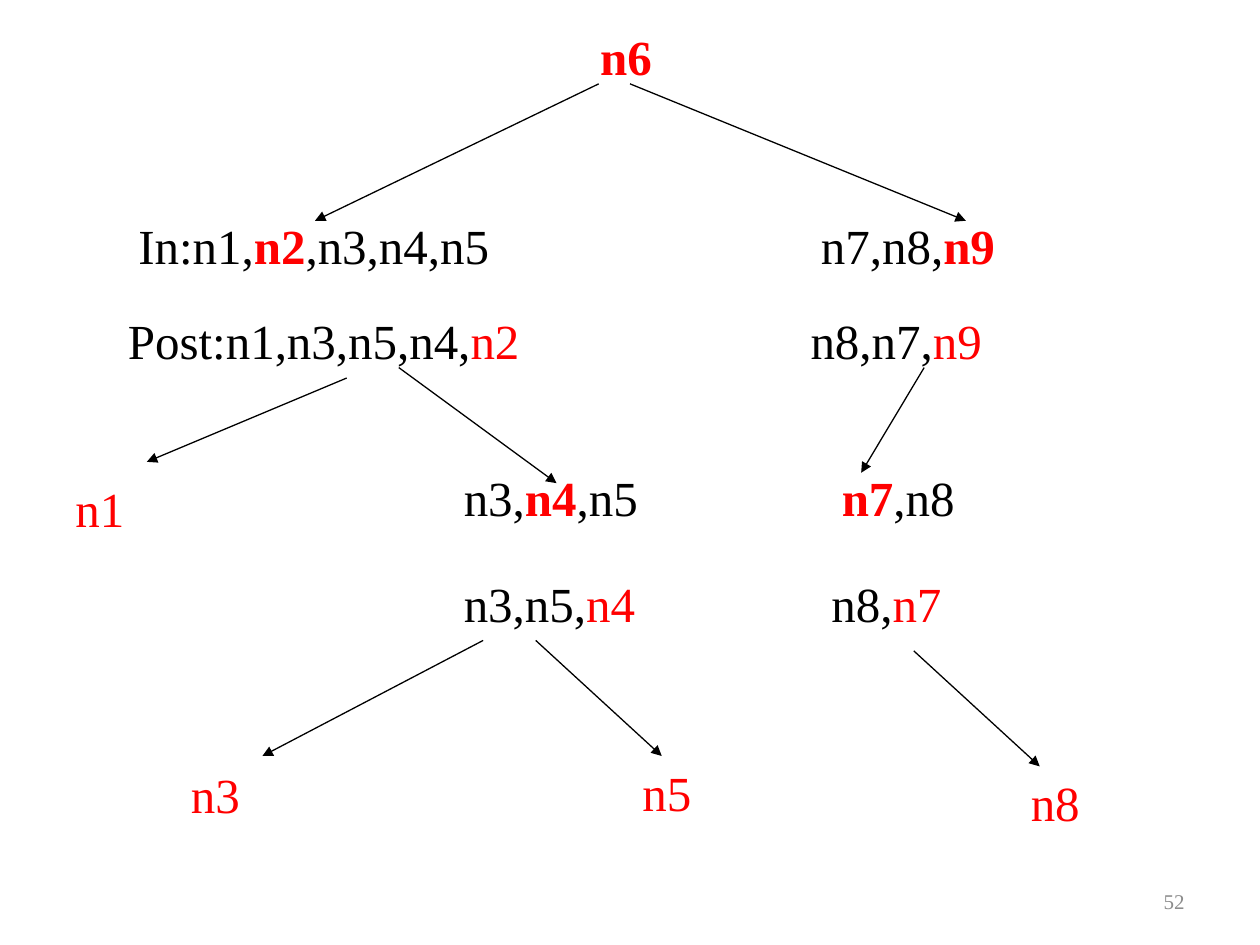
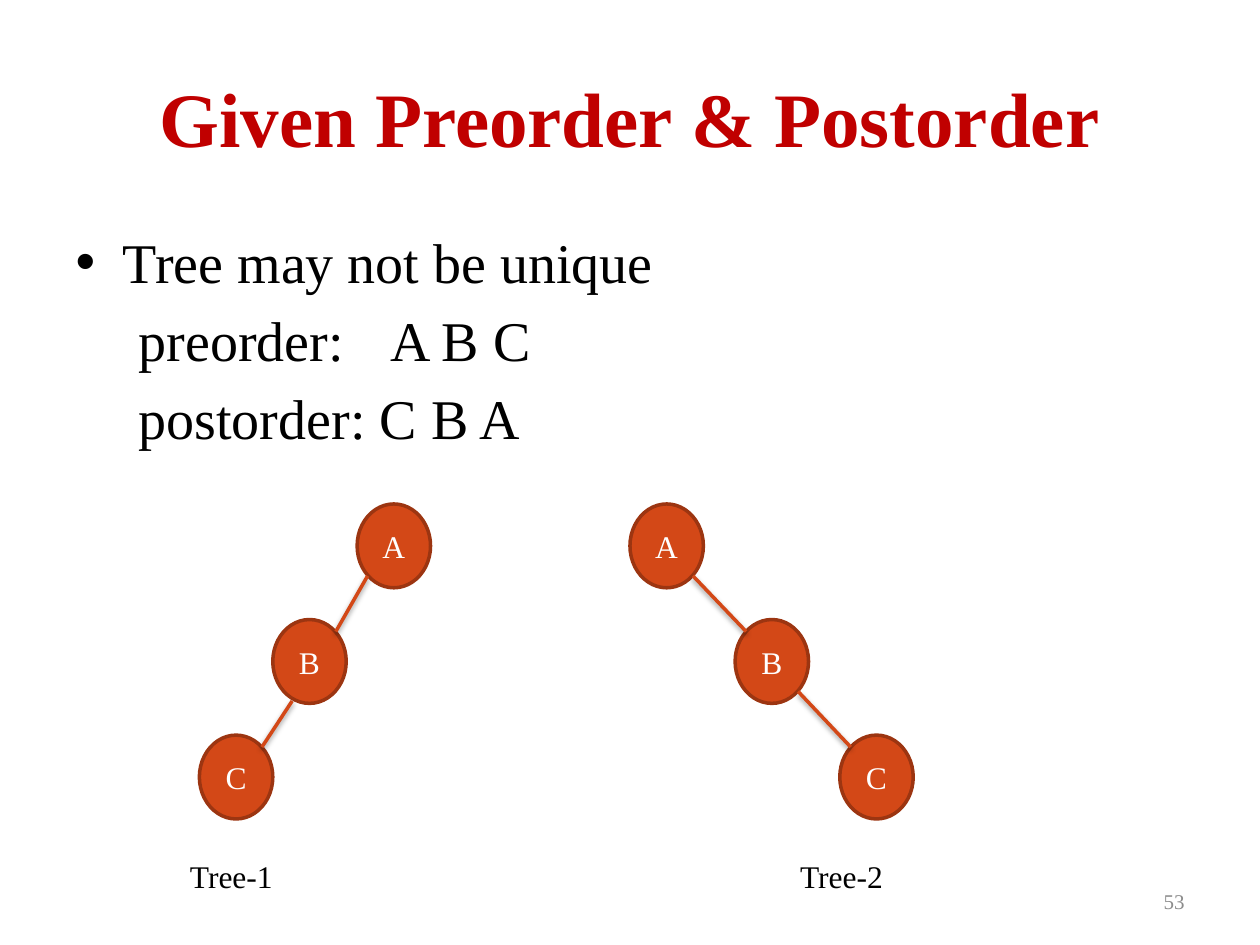
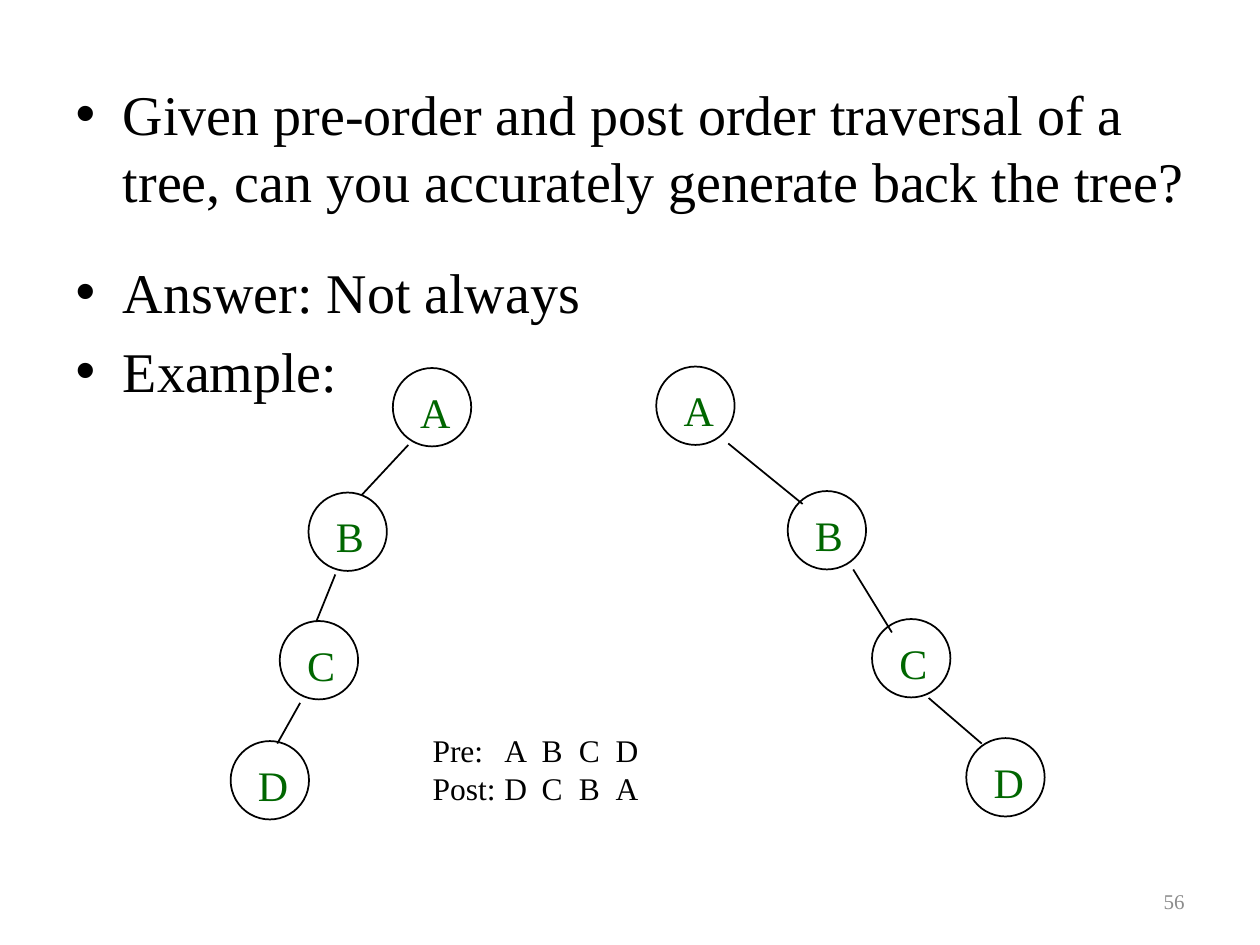
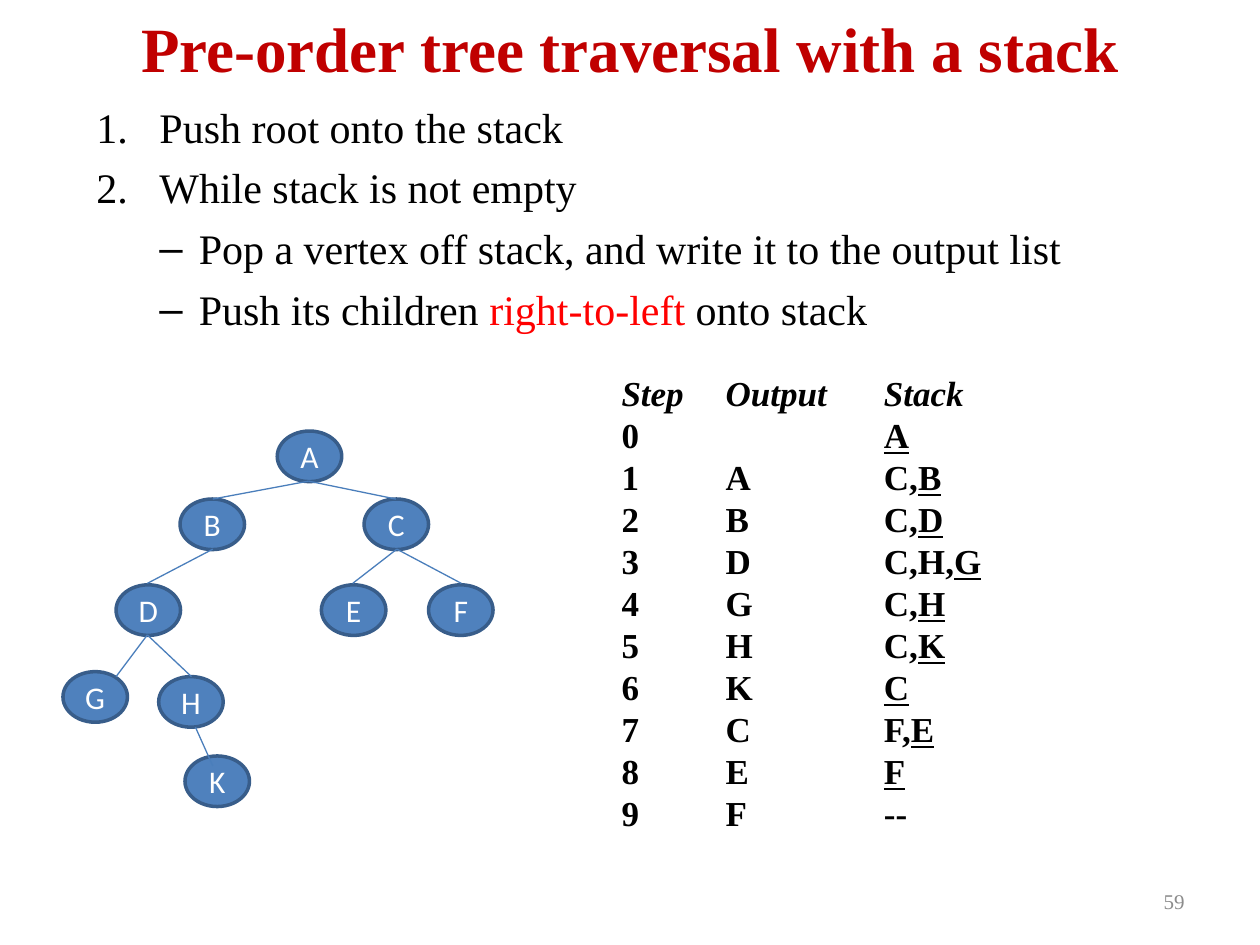
from dataclasses import dataclass
from typing import NamedTuple, Sequence

from lxml.etree import SubElement
from pptx import Presentation
from pptx.dml.color import RGBColor
from pptx.enum.shapes import MSO_CONNECTOR, MSO_SHAPE
from pptx.enum.text import MSO_ANCHOR as Anchor, MSO_AUTO_SIZE as AutoSize, PP_ALIGN as Align
from pptx.oxml.ns import qn
from pptx.presentation import Presentation as Deck
from pptx.shapes.autoshape import Shape
from pptx.shapes.shapetree import GroupShapes, SlideShapes
from pptx.slide import Slide
from pptx.text.text import _Paragraph as Paragraph, _Run as TextRun
from pptx.util import Cm, Pt

SERIF = "Times New Roman"
SANS = "Calibri"
COLORS = {
    "text": "000000",
    "accent": "FF0000",
    "title": "C00000",
    "number": "8C8C8C",
    "white": "FFFFFF",
    "label": "006600",
    "orange": "D34817",
    "orange_edge": "9C3511",
    "blue": "4F81BD",
    "blue_edge": "385D8A",
    "blue_link": "4A7EBB",
}
BLANK, TITLE_AND_CONTENT = 6, 1
Shapes = SlideShapes | GroupShapes


class Box(NamedTuple):
    """Position and size in centimetres."""
    left: float
    top: float
    width: float
    height: float

    def lengths(self) -> list[Cm]:
        return [Cm(value) for value in self]


class Run(NamedTuple):
    text: str
    color: str = "text"
    bold: bool = False
    italic: bool = False
    underline: bool = False


class Link(NamedTuple):
    """Straight line from (x1, y1) to (x2, y2) in centimetres."""
    x1: float
    y1: float
    x2: float
    y2: float


class Node(NamedTuple):
    name: str
    left: float
    top: float


@dataclass(frozen=True)
class LinkStyle:
    color: str = "text"
    width: float = 0.75
    arrow: bool = False
    shadow: bool = False


@dataclass(frozen=True)
class NodeStyle:
    width: float
    height: float
    fill: str
    edge: str
    font: str


ARROW = LinkStyle(arrow=True)
PLAIN_LINK = LinkStyle(width=1)
ORANGE_LINK = LinkStyle("orange", 2, shadow=True)
BLUE_LINK = LinkStyle("blue_link")
ORANGE_NODE = NodeStyle(1.48, 1.69, "orange", "orange_edge", SERIF)
BLUE_NODE = NodeStyle(1.3, 1.02, "blue", "blue_edge", SANS)
CIRCLE = 1.58


def rgb(name: str) -> RGBColor:
    return RGBColor.from_string(COLORS[name])


def format_run(run: TextRun, size: float, color: str = "text", font: str = SERIF,
               bold: bool = False) -> None:
    run.font.name = font
    run.font.size = Pt(size)
    run.font.color.rgb = rgb(color)
    run.font.bold = bold


def write_runs(paragraph: Paragraph, runs: Sequence[Run], size: float) -> None:
    for part in runs:
        run = paragraph.add_run()
        run.text = part.text
        format_run(run, size, part.color, bold=part.bold)
        run.font.italic = part.italic
        run.font.underline = part.underline


def set_tabs(paragraph: Paragraph, stops: Sequence[float]) -> None:
    tab_list = SubElement(paragraph._p.get_or_add_pPr(), qn("a:tabLst"))
    for stop in stops:
        SubElement(tab_list, qn("a:tab"), pos=str(Cm(stop)), algn="l")


def set_indent(paragraph: Paragraph, margin: float, hanging: float, bullet: str, **options: str) -> None:
    """Set margins and the kind of bullet (an element name such as buNone)."""
    properties = paragraph._p.get_or_add_pPr()
    properties.set("marL", str(Cm(margin)))
    properties.set("indent", str(-Cm(hanging)))
    SubElement(properties, qn(f"a:{bullet}"), **options)


def add_text(shapes: Shapes, box: Box, lines: Sequence[Sequence[Run]], size: float,
             tabs: Sequence[float] = (), wrap: bool = True) -> Shape:
    shape = shapes.add_textbox(*box.lengths())
    frame = shape.text_frame
    frame.word_wrap = wrap
    frame.auto_size = AutoSize.SHAPE_TO_FIT_TEXT
    for index, runs in enumerate(lines):
        paragraph = frame.add_paragraph() if index else frame.paragraphs[0]
        write_runs(paragraph, runs, size)
        if tabs:
            set_tabs(paragraph, tabs)
    return shape


def add_link(shapes: Shapes, link: Link, style: LinkStyle) -> None:
    connector = shapes.add_connector(MSO_CONNECTOR.STRAIGHT, *(Cm(value) for value in link))
    connector.line.color.rgb = rgb(style.color)
    connector.line.width = Pt(style.width)
    properties = connector._element.spPr
    if style.arrow:
        SubElement(properties.find(qn("a:ln")), qn("a:tailEnd"), type="triangle")
    effects = SubElement(properties, qn("a:effectLst"))
    if style.shadow:
        shadow = SubElement(effects, qn("a:outerShdw"), blurRad=str(Pt(3.1)),
                            dist=str(Pt(1.6)), dir="5400000", rotWithShape="0")
        color = SubElement(shadow, qn("a:srgbClr"), val=COLORS["text"])
        SubElement(color, qn("a:alpha"), val="38000")


def add_links(shapes: Shapes, links: Sequence[Link], style: LinkStyle) -> None:
    for link in links:
        add_link(shapes, link, style)


def add_ellipse(shapes: Shapes, box: Box, edge: str, width: float) -> Shape:
    shape = shapes.add_shape(MSO_SHAPE.OVAL, *box.lengths())
    shape.shadow.inherit = False
    shape.fill.background()
    shape.line.color.rgb = rgb(edge)
    shape.line.width = Pt(width)
    return shape


def add_filled_node(shapes: Shapes, node: Node, style: NodeStyle) -> None:
    shape = add_ellipse(shapes, Box(node.left, node.top, style.width, style.height), style.edge, 2)
    shape.fill.solid()
    shape.fill.fore_color.rgb = rgb(style.fill)
    frame = shape.text_frame
    frame.text = node.name
    frame.vertical_anchor = Anchor.MIDDLE
    frame.paragraphs[0].alignment = Align.CENTER
    format_run(frame.paragraphs[0].runs[0], 18, "white", style.font)


def add_circled_letter(shapes: Shapes, node: Node) -> None:
    group = shapes.add_group_shape().shapes
    add_ellipse(group, Box(node.left, node.top, CIRCLE, CIRCLE), "text", 1)
    label = Box(node.left + 0.3, node.top + 0.24, 1.1, 1.27)
    add_text(group, label, [[Run(node.name, "label")]], 24, wrap=False)


def place(shape: Shape, box: Box) -> None:
    shape.left, shape.top, shape.width, shape.height = box.lengths()
    shape.text_frame.auto_size = AutoSize.NONE


def set_title(slide: Slide, text: str, box: Box, size: float) -> None:
    title = slide.shapes.title
    place(title, box)
    title.text_frame.text = text
    format_run(title.text_frame.paragraphs[0].runs[0], size, "title", bold=True)


def set_body(slide: Slide, lines: Sequence[Sequence[Run]], box: Box, size: float) -> list[Paragraph]:
    body = slide.placeholders[1]
    place(body, box)
    frame = body.text_frame
    for index, runs in enumerate(lines):
        paragraph = frame.add_paragraph() if index else frame.paragraphs[0]
        write_runs(paragraph, runs, size)
    return list(frame.paragraphs)


def add_slide(presentation: Deck, layout: int, number: int) -> Slide:
    """Add a slide with its printed page number."""
    slide = presentation.slides.add_slide(presentation.slide_layouts[layout])
    shape = add_text(slide.shapes, Box(18.2, 17.66, 5.93, 1.01), [[Run(str(number), "number")]], 12)
    shape.text_frame.auto_size = AutoSize.NONE
    shape.text_frame.vertical_anchor = Anchor.MIDDLE
    shape.text_frame.paragraphs[0].alignment = Align.RIGHT
    return slide


def build_reconstruction(presentation: Deck) -> None:
    slide = add_slide(presentation, BLANK, 52)

    def root(name: str) -> Run:
        return Run(name, "accent", bold=True)

    def red(name: str) -> Run:
        return Run(name, "accent")

    sequences = [
        (11.85, 0.42, 2.12, [root("n6")]),
        (2.54, 4.23, 10.58, [Run("In:n1,"), root("n2"), Run(",n3,n4,n5")]),
        (16.3, 4.23, 5.08, [Run("n7,n8,"), root("n9")]),
        (2.33, 6.14, 10.58, [Run("Post:n1,n3,n5,n4,"), red("n2")]),
        (16.09, 6.14, 5.08, [Run("n8,n7,"), red("n9")]),
        (1.27, 9.53, 1.69, [red("n1")]),
        (9.1, 9.31, 4.45, [Run("n3,"), root("n4"), Run(",n5")]),
        (9.1, 11.43, 4.45, [Run("n3,n5,"), red("n4")]),
        (16.72, 9.31, 3.6, [root("n7"), Run(",n8")]),
        (16.51, 11.43, 3.6, [Run("n8,"), red("n7")]),
        (3.6, 15.29, 1.69, [red("n3")]),
        (12.7, 15.24, 1.69, [red("n5")]),
        (20.53, 15.45, 1.69, [red("n8")]),
    ]
    for left, top, width, runs in sequences:
        add_text(slide.shapes, Box(left, top, width, 1.45), [runs], 28)
    add_links(slide.shapes, [
        Link(12.07, 1.69, 6.35, 4.45),
        Link(12.7, 1.69, 19.47, 4.45),
        Link(6.99, 7.62, 2.96, 9.31),
        Link(8.04, 7.41, 11.22, 9.74),
        Link(9.74, 12.91, 5.29, 15.24),
        Link(10.8, 12.91, 13.34, 15.24),
        Link(18.63, 7.41, 17.36, 9.53),
        Link(18.42, 13.12, 20.96, 15.45),
    ], ARROW)


def build_preorder_postorder(presentation: Deck) -> None:
    slide = add_slide(presentation, TITLE_AND_CONTENT, 53)
    set_title(slide, "Given Preorder & Postorder", Box(1.27, 0.76, 22.86, 3.18), 44)
    lines = ["Tree may not be unique", "\tpreorder:\tA B C", "\tpostorder: C B A"]
    paragraphs = set_body(slide, [[Run(line)] for line in lines], Box(1.27, 4.45, 22.86, 12.57), 32)
    for paragraph in paragraphs[1:]:
        set_indent(paragraph, 0, 0, "buNone")
        set_tabs(paragraph, [2.54, 7.16])

    nodes = [
        Node("A", 7.2, 10.16), Node("B", 5.5, 12.49), Node("C", 4.02, 14.82),
        Node("A", 12.7, 10.16), Node("B", 14.82, 12.49), Node("C", 16.93, 14.82),
    ]
    for node in nodes:
        add_filled_node(slide.shapes, node, ORANGE_NODE)
    add_links(slide.shapes, [
        Link(7.41, 11.61, 6.77, 12.73),
        Link(5.89, 14.13, 5.28, 15.06),
        Link(13.97, 11.61, 15.04, 12.73),
        Link(16.09, 13.94, 17.15, 15.06),
    ], ORANGE_LINK)
    for caption, left in (("Tree-1", 3.58), ("Tree-2", 15.88)):
        add_text(slide.shapes, Box(left, 17.15, 5.08, 1.07), [[Run(caption)]], 18)


def build_ambiguous_example(presentation: Deck) -> None:
    slide = add_slide(presentation, TITLE_AND_CONTENT, 56)
    title = slide.shapes.title._element
    title.getparent().remove(title)
    lines = [
        "Given pre-order and post order traversal of a tree, "
        "can you accurately generate back the tree?",
        "Answer: Not always",
        "Example:",
    ]
    paragraphs = set_body(slide, [[Run(line)] for line in lines], Box(1.27, 1.48, 22.86, 16.09), 32)
    paragraphs[1].space_before = Pt(25)

    nodes = [
        Node("A", 7.92, 7.42), Node("B", 6.22, 9.93), Node("C", 5.64, 12.52), Node("D", 4.65, 14.94),
        Node("A", 13.23, 7.39), Node("B", 15.88, 9.9), Node("C", 17.58, 12.48), Node("D", 19.48, 14.88),
    ]
    for node in nodes:
        add_circled_letter(slide.shapes, node)
    add_links(slide.shapes, [
        Link(8.23, 8.97, 7.29, 9.98),
        Link(6.76, 11.58, 6.38, 12.52),
        Link(6.05, 14.17, 5.59, 14.99),
        Link(14.68, 8.94, 16.18, 10.16),
        Link(17.2, 11.48, 17.98, 12.75),
        Link(18.72, 14.07, 19.79, 14.99),
    ], PLAIN_LINK)
    orders = [[Run("Pre:\tA\tB\tC\tD")], [Run("Post:\tD\tC\tB\tA")]]
    add_text(slide.shapes, Box(8.47, 14.61, 5.08, 1.8), orders, 18, tabs=[1.45, 2.2, 2.95, 3.69])


def build_stack_traversal(presentation: Deck) -> None:
    slide = add_slide(presentation, TITLE_AND_CONTENT, 59)
    set_title(slide, "Pre-order tree traversal with a stack", Box(1.91, 0, 21.59, 1.91), 36)
    lines = [
        [Run("Push root onto the stack")],
        [Run("While stack is not empty")],
        [Run("Pop a vertex off stack, and write it to the output list")],
        [Run("Push its children "), Run("right-to-left", "accent"), Run(" onto stack")],
    ]
    paragraphs = set_body(slide, lines, Box(1.69, 1.91, 22.01, 4.95), 24)
    for paragraph in paragraphs:
        paragraph.space_before = Pt(6)
    for paragraph in paragraphs[:2]:
        set_indent(paragraph, 1.27, 1.27, "buAutoNum", type="arabicPeriod")
    for paragraph in paragraphs[2:]:
        paragraph.level = 1

    steps = [
        ("", "A"), ("A", "C,B"), ("B", "C,D"), ("D", "C,H,G"), ("G", "C,H"),
        ("H", "C,K"), ("K", "C"), ("C", "F,E"), ("E", "F"), ("F", ""),
    ]
    rows = [[Run("Step\tOutput\tStack", bold=True, italic=True)]]
    for step, (output, stack) in enumerate(steps):
        lead = f"{step}\t{output}\t"
        if stack:
            rows.append([Run(lead + stack[:-1], bold=True), Run(stack[-1], bold=True, underline=True)])
        else:
            rows.append([Run(lead + "--", bold=True)])
    add_text(slide.shapes, Box(12.28, 7.37, 9.95, 9.68), rows, 20, tabs=[2.1, 5.29])

    tree = slide.shapes.add_group_shape().shapes
    nodes = [
        Node("A", 5.59, 8.69), Node("B", 3.63, 10.06), Node("C", 7.34, 10.06),
        Node("D", 2.34, 11.79), Node("G", 1.27, 13.54), Node("E", 6.48, 11.79),
        Node("F", 8.64, 11.79), Node("H", 3.2, 13.64), Node("K", 3.73, 15.24),
    ]
    for node in nodes:
        add_filled_node(tree, node, BLUE_NODE)
    add_links(tree, [
        Link(6.22, 9.7, 4.29, 10.06),
        Link(6.22, 9.7, 7.98, 10.06),
        Link(2.97, 12.8, 2.34, 13.64),
        Link(4.29, 11.07, 2.97, 11.76),
        Link(8, 11.07, 9.3, 11.76),
        Link(8, 11.07, 7.11, 11.76),
        Link(2.97, 12.8, 3.86, 13.64),
        Link(3.94, 14.66, 4.29, 15.44),
    ], BLUE_LINK)


def main() -> None:
    presentation = Presentation()
    presentation.slide_width, presentation.slide_height = Cm(25.4), Cm(19.05)
    build_reconstruction(presentation)
    build_preorder_postorder(presentation)
    build_ambiguous_example(presentation)
    build_stack_traversal(presentation)
    presentation.save("out.pptx")


if __name__ == "__main__":
    main()
